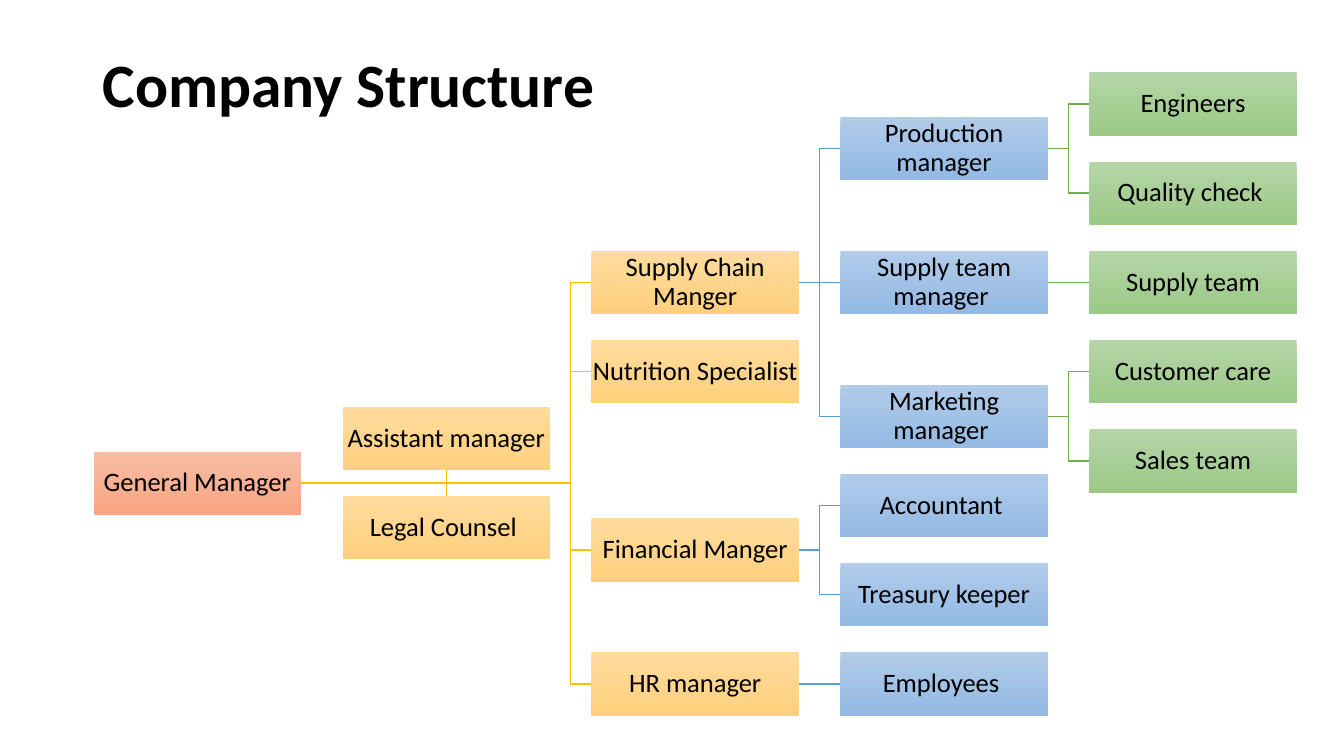
from lxml.etree import SubElement
from pptx import Presentation
from pptx.dml.color import RGBColor
from pptx.enum.shapes import MSO_CONNECTOR, MSO_SHAPE
from pptx.enum.text import MSO_ANCHOR, PP_ALIGN
from pptx.oxml.ns import qn
from pptx.util import Pt

FONT = "Calibri"
FIRST_LEFT, COLUMN_STEP = 66.9, 177.8
FIRST_MIDDLE, ROW_STEP = 74.3, 63.73
BOX_WIDTH, BOX_HEIGHT = 148.2, 45.2
GAP = COLUMN_STEP - BOX_WIDTH

ORANGE = ("F7BDA5", "F8A582")
GOLD = ("FFDB9E", "FFD07C")
BLUE = ("B1CBE9", "93B9E4")
GREEN = ("B5D5A7", "9CC987")
COLUMN_FILLS = [ORANGE, GOLD, GOLD, BLUE, GREEN]
LINE_COLORS = [None, "FFC000", "FFC000", "5B9BD5", "70AD47"]

# name: (column, row, superior)
POSITIONS = {
    "General Manager": (0, 4.25, None),
    "Assistant manager": (1, 3.75, "General Manager"),
    "Legal Counsel ": (1, 4.75, "General Manager"),
    "Supply Chain Manger": (2, 2, "General Manager"),
    "Nutrition Specialist ": (2, 3, "General Manager"),
    "Financial Manger": (2, 5, "General Manager"),
    "HR manager": (2, 6.5, "General Manager"),
    "Production manager": (3, 0.5, "Supply Chain Manger"),
    "Supply team manager ": (3, 2, "Supply Chain Manger"),
    "Marketing manager ": (3, 3.5, "Supply Chain Manger"),
    "Accountant ": (3, 4.5, "Financial Manger"),
    "Treasury keeper": (3, 5.5, "Financial Manger"),
    "Employees ": (3, 6.5, "HR manager"),
    "Engineers": (4, 0, "Production manager"),
    "Quality check ": (4, 1, "Production manager"),
    "Supply team": (4, 2, "Supply team manager "),
    "Customer care": (4, 3, "Marketing manager "),
    "Sales team": (4, 4, "Marketing manager "),
}


def color(hex_code):
    return RGBColor.from_string(hex_code)


def box_left(column):
    return FIRST_LEFT + column * COLUMN_STEP


def box_middle(row):
    return FIRST_MIDDLE + row * ROW_STEP


def format_text(shape, text, size, align, bold=False):
    frame = shape.text_frame
    frame.text = text
    frame.word_wrap = True
    frame.vertical_anchor = MSO_ANCHOR.MIDDLE
    para = frame.paragraphs[0]
    para.alignment = align
    para.line_spacing = 0.9
    font = para.runs[0].font
    font.name, font.size, font.bold = FONT, Pt(size), bold
    font.color.rgb = color("000000")


def add_title(page, text):
    title = page.shapes.title
    title.left, title.top, title.width, title.height = Pt(66), Pt(28.8), Pt(828), Pt(67)
    format_text(title, text, 44, PP_ALIGN.LEFT, bold=True)


def add_box(page, text, column, row):
    box = page.shapes.add_shape(
        MSO_SHAPE.RECTANGLE, Pt(box_left(column)), Pt(box_middle(row) - BOX_HEIGHT / 2),
        Pt(BOX_WIDTH), Pt(BOX_HEIGHT))
    box.shadow.inherit = False
    box.line.fill.background()
    box.fill.gradient()
    box.fill.gradient_angle = 270
    for stop, hex_code in zip(box.fill.gradient_stops, COLUMN_FILLS[column]):
        stop.color.rgb = color(hex_code)
    format_text(box, text, 19, PP_ALIGN.CENTER)
    frame = box.text_frame
    frame.margin_left = frame.margin_right = Pt(0.9)
    frame.margin_top = frame.margin_bottom = Pt(0.9)


def add_straight_line(page, start, end):
    line = page.shapes.add_connector(
        MSO_CONNECTOR.STRAIGHT, *(Pt(value) for value in start + end))
    SubElement(line._element.spPr, qn("a:effectLst"))
    return line


def add_bent_line(page, points):
    corners = [(Pt(x), Pt(y)) for x, y in points]
    builder = page.shapes.build_freeform(*corners[0])
    builder.add_line_segments(corners[1:], close=False)
    line = builder.convert_to_shape()
    line.fill.background()
    line.shadow.inherit = False
    return line


def add_link(page, superior, column, row):
    superior_column, superior_row, _ = superior
    start = (box_left(superior_column) + BOX_WIDTH, box_middle(superior_row))
    end = (box_left(column), box_middle(row))
    if column == 1:
        center = box_left(column) + BOX_WIDTH / 2
        side = 1 if row > superior_row else -1
        edge = box_middle(row) - side * BOX_HEIGHT / 2
        line = add_bent_line(page, [start, (center, start[1]), (center, edge)])
    elif row == superior_row:
        line = add_straight_line(page, start, end)
    else:
        bend = end[0] - GAP / 2
        line = add_bent_line(page, [start, (bend, start[1]), (bend, end[1]), end])
    line.line.color.rgb = color(LINE_COLORS[column])
    line.line.width = Pt(1)


def main():
    deck = Presentation()
    deck.slide_width, deck.slide_height = Pt(960), Pt(540)
    page = deck.slides.add_slide(deck.slide_layouts[5])
    add_title(page, "Company Structure ")
    for column, row, superior in POSITIONS.values():
        if superior:
            add_link(page, POSITIONS[superior], column, row)
    for name, (column, row, _) in POSITIONS.items():
        add_box(page, name, column, row)
    deck.save("out.pptx")


main()
